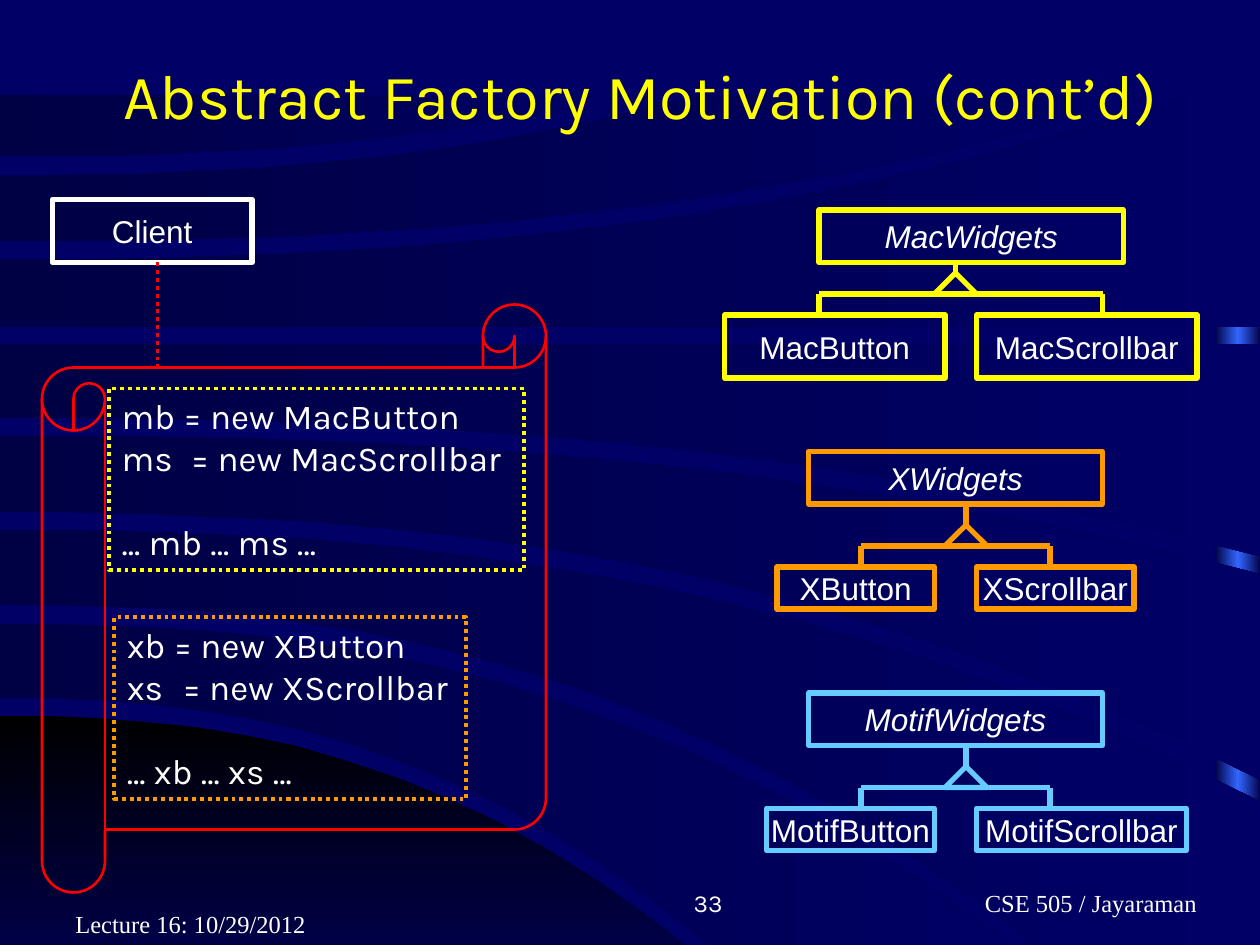
from copy import deepcopy

from pptx import Presentation
from pptx.dml.color import RGBColor
from pptx.enum.dml import MSO_LINE
from pptx.enum.shapes import MSO_CONNECTOR, MSO_SHAPE
from pptx.enum.text import MSO_ANCHOR, PP_ALIGN
from pptx.oxml.ns import qn
from pptx.util import Pt
from lxml import etree

PX = 7620
RECTANGLE = MSO_SHAPE.RECTANGLE
EXTRACT = MSO_SHAPE.FLOWCHART_EXTRACT
SCROLL = MSO_SHAPE.HORIZONTAL_SCROLL
STRAIGHT = MSO_CONNECTOR.STRAIGHT
DOTTED = MSO_LINE.ROUND_DOT
LEFT, CENTER, RIGHT = PP_ALIGN.LEFT, PP_ALIGN.CENTER, PP_ALIGN.RIGHT
TOP, MIDDLE, BOTTOM = MSO_ANCHOR.TOP, MSO_ANCHOR.MIDDLE, MSO_ANCHOR.BOTTOM

COLORS = {
    "navy": "000066", "dark": "000044", "black": "000000", "blue": "3366FF",
    "white": "FFFFFF", "yellow": "FFFF00", "orange": "FF9900",
    "sky": "66CCFF", "red": "FF0000",
}
RGB = {name: RGBColor.from_string(value) for name, value in COLORS.items()}


def write(para, text, font, size, color="white", italic=False):
    span = para.add_run()
    span.text = text
    span.font.name = font
    span.font.size = Pt(size)
    span.font.italic = italic
    span.font.color.rgb = RGB[color]


def outline(kind, place, color, width):
    shape = page.shapes.add_shape(kind, *[n * PX for n in place])
    shape.shadow.inherit = False
    shape.fill.background()
    shape.line.color.rgb = RGB[color]
    shape.line.width = Pt(width)
    shape.text_frame.word_wrap = False
    return shape


deck = Presentation()
deck.slide_width, deck.slide_height = 1200 * PX, 900 * PX
page = deck.slides.add_slide(deck.slide_layouts[5])
page.background.fill.solid()
page.background.fill.fore_color.rgb = RGB["navy"]

bar = page.shapes.add_shape(RECTANGLE, 1157 * PX, 92 * PX, 44 * PX, 900 * PX)
bar.shadow.inherit = False
bar.line.fill.background()
bar.fill.gradient()
bar.fill.gradient_angle = 0
stop_list = bar._element.spPr.find(".//" + qn("a:gsLst"))
stop_list.insert(1, deepcopy(stop_list[0]))
for stop, position, color in zip(bar.fill.gradient_stops, (0, 0.5, 1), ("dark", "blue", "dark")):
    stop.position = position
    stop.color.rgb = RGB[color]

STEPS = 16
BEND = 2.4
BANDS = [
    ("black", 270, (682, 755, 992), (992, 755, 992)),
    ("dark", 0, (594, 1073, 990), (665, 772, 990)),
    ("dark", 0, (505, 1201, 764), (576, 1092, 990)),
    ("dark", 0, (415, 1201, 547), (488, 1201, 743)),
    ("dark", 0, (328, 1201, 328), (398, 1201, 530)),
    ("dark", 0, (247, 1133, 90), (311, 1201, 311)),
    ("dark", 0, (167, 668, 90), (230, 1102, 90)),
    ("dark", 0, (90, 602, 90), (149, 602, 90)),
]
for start_color, angle, *edges in BANDS:
    upper, lower = [
        [(round(end_x * n / STEPS), round(start_y + (end_y - start_y) * (n / STEPS) ** BEND))
         for n in range(STEPS + 1)]
        for start_y, end_x, end_y in edges
    ]
    ends = upper[-1], lower[-1]
    corner = (max(ends)[0], min(ends)[1])
    points = upper + [corner] + lower[::-1]
    builder = page.shapes.build_freeform(*points[0], scale=PX)
    builder.add_line_segments(points[1:], close=True)
    band = builder.convert_to_shape()
    band.shadow.inherit = False
    band.line.fill.background()
    band.fill.gradient()
    band.fill.gradient_angle = angle
    for stop, color in zip(band.fill.gradient_stops, (start_color, "navy")):
        stop.color.rgb = RGB[color]

title = page.shapes.title
band._element.addnext(title._element)
title.left, title.top, title.width, title.height = 50 * PX, 0, 1080 * PX, 180 * PX
title.text_frame.margin_left = 52 * PX
title.text_frame.vertical_anchor = MIDDLE
title.text_frame.paragraphs[0].alignment = CENTER
write(title.text_frame.paragraphs[0], "Abstract Factory Motivation (cont’d)", "Karla", 36, "yellow")

FOOTERS = [
    ("CSE 505 / Jayaraman", "Times New Roman", RIGHT, 30, (790, 820, 380, 60)),
    ("33", "Karla", RIGHT, 12, (450, 820, 250, 60)),
    ("Lecture 16: 10/29/2012", "Times New Roman", LEFT, 12, (60, 840, 250, 60)),
]
for text, font, alignment, margin, place in FOOTERS:
    footer = page.shapes.add_textbox(*[n * PX for n in place])
    footer.text_frame.word_wrap = True
    footer.text_frame.margin_right = margin * PX
    footer.text_frame.vertical_anchor = BOTTOM
    footer.text_frame.paragraphs[0].alignment = alignment
    write(footer.text_frame.paragraphs[0], text, font, 14)

classes = [("Client", "white", False, (50, 190, 190, 60))]
lines = [("red", 2.25, (150, 250, 150, 350), None)]

FAMILIES = [
    ("Mac", "yellow", (780, 200, 290, 50), (690, 300, 210, 60), 210, (780, 910, 1050)),
    ("X", "orange", (770, 430, 280, 50), (740, 540, 150, 40), 150, (820, 920, 1000)),
    ("Motif", "sky", (770, 660, 280, 50), (730, 770, 160, 40), 200, (820, 920, 1000)),
]
for name, color, base, button, scrollbar_width, (start, apex, end) in FAMILIES:
    child_top, child_height = button[1], button[3]
    rail = child_top - 20
    classes += [
        (name + "Widgets", color, True, base),
        (name + "Button", color, False, button),
        (name + "Scrollbar", color, False, (930, child_top, scrollbar_width, child_height)),
    ]
    triangle = outline(EXTRACT, (apex - 20, rail - 20, 40, 20), color, 3)
    lines += [(color, 3, (x, rail, x, child_top), None) for x in (start, end)]
    lines += [
        (color, 3, (start, rail, end, rail), None),
        (color, 3, (apex, rail - 20, apex, base[1] + base[3]), triangle),
    ]

for name, color, italic, place in classes:
    box = outline(RECTANGLE, place, color, 3)
    box.text_frame.vertical_anchor = MIDDLE
    box.text_frame.paragraphs[0].alignment = CENTER
    write(box.text_frame.paragraphs[0], name, "Arial", 18, italic=italic)

for color, width, ends, triangle in lines:
    line = page.shapes.add_connector(STRAIGHT, *[n * PX for n in ends])
    line.line.color.rgb = RGB[color]
    line.line.width = Pt(width)
    if color == "red":
        line.line.dash_style = DOTTED
    if triangle is not None:
        line.begin_connect(triangle, 0)
    etree.SubElement(line._element.spPr, qn("a:effectLst"))

outline(SCROLL, (40, 290, 480, 560), "red", 1.5)

CODE = [
    ("yellow", (104, 370, 395, 173), 66,
     ("mb = new MacButton", "ms\t= new MacScrollbar", "... mb … ms …")),
    ("orange", (109, 588, 335, 173), 53,
     ("xb = new XButton", "xs\t= new XScrollbar", "... xb … xs …")),
]
for color, place, tab, code_lines in CODE:
    box = outline(RECTANGLE, place, color, 2.25)
    box.line.dash_style = DOTTED
    frame = box.text_frame
    frame.vertical_anchor = TOP
    for index, text in enumerate(code_lines):
        para = frame.add_paragraph() if index else frame.paragraphs[0]
        para.alignment = LEFT
        if index == 2:
            para.space_before = Pt(24)
        if "\t" in text:
            tabs = etree.SubElement(para._p.get_or_add_pPr(), qn("a:tabLst"))
            etree.SubElement(tabs, qn("a:tab"), pos=str(tab * PX), algn="l")
        write(para, text, "Karla", 20)

deck.save("out.pptx")
